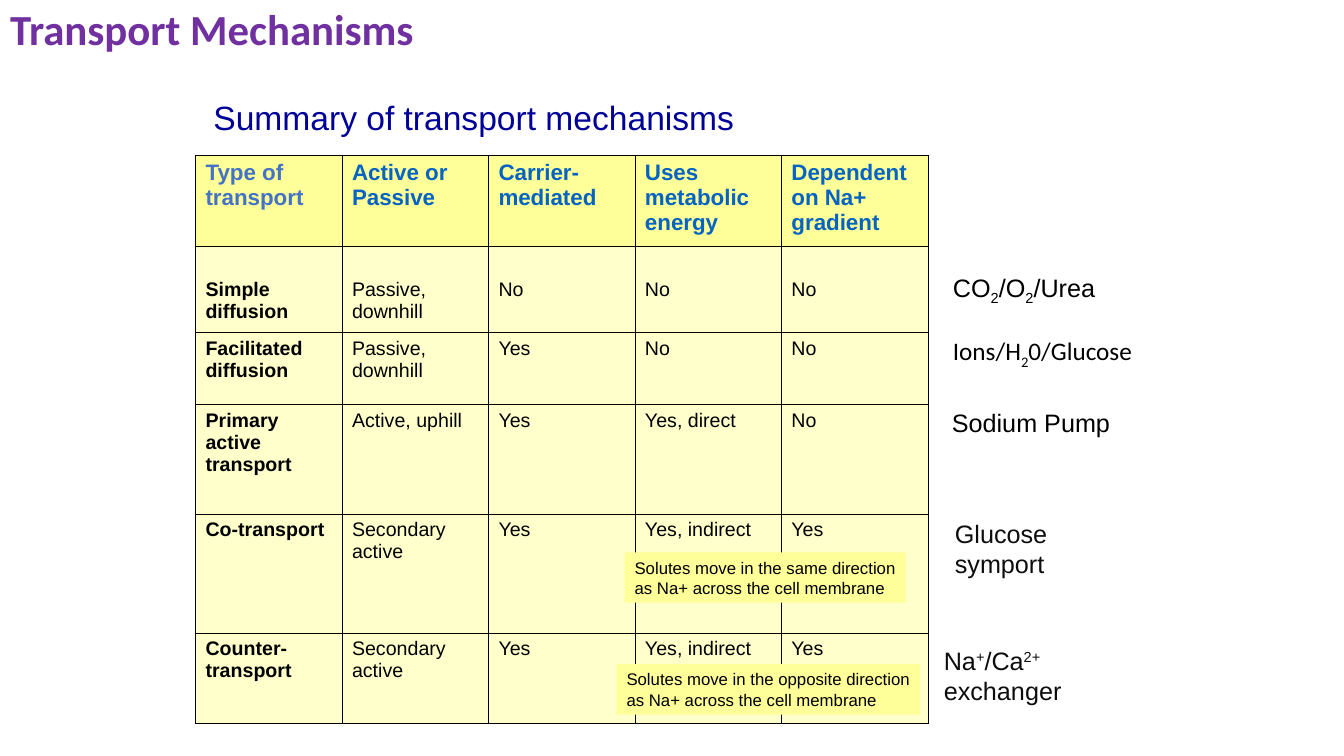
import pptx
import pptx.dml.color
import pptx.enum.shapes
import pptx.enum.text
import pptx.oxml.ns
import pptx.util
import lxml.etree

COLORS = {
    "title": "7030A0", "subtitle": "000099", "type": "4472C4", "header": "0563C1",
    "strong": "FFFF99", "pale": "FFFFCC", "text": "000000", "soft": "0D0D0D",
}


class Deck:
    """Builds the slide's elements in one style, on a scale of 100 px to the inch."""

    def __init__(self, width, height):
        self.presentation = pptx.Presentation()
        self.presentation.slide_width = self.px(width)
        self.presentation.slide_height = self.px(height)
        self.slide = self.presentation.slides.add_slide(self.presentation.slide_layouts[5])

    def px(self, length):
        return pptx.util.Emu(length * 9144)

    def box(self, *lengths):
        return [self.px(length) for length in lengths]

    def color(self, name):
        return pptx.dml.color.RGBColor.from_string(COLORS[name])

    def fill(self, target, name):
        target.fill.solid()
        target.fill.fore_color.rgb = self.color(name)

    def add_lines(self, frame, lines, size, color, bold=False, font="Arial"):
        for index, runs in enumerate(lines):
            paragraph = frame.add_paragraph() if index else frame.paragraphs[0]
            paragraph.alignment = pptx.enum.text.PP_ALIGN.LEFT
            for words, baseline in runs:
                run = paragraph.add_run()
                run.text = words
                run.font.name = font
                run.font.size = pptx.util.Pt(size)
                run.font.bold = bold
                run.font.color.rgb = self.color(color)
                if baseline:
                    run.font._element.set("baseline", str(baseline * 1000))

    def title(self, words, place):
        heading = self.slide.shapes.title
        heading.left, heading.top, heading.width, heading.height = self.box(*place)
        frame = heading.text_frame
        frame.auto_size = pptx.enum.text.MSO_AUTO_SIZE.NONE
        frame.vertical_anchor = pptx.enum.text.MSO_ANCHOR.MIDDLE
        frame.paragraphs[0].line_spacing = 0.9
        self.add_lines(frame, [[(words, 0)]], 30.6, "title", True, "Calibri")

    def label(self, runs, place, size=18, color="text", font="Arial", wrap=False):
        frame = self.slide.shapes.add_textbox(*self.box(*place)).text_frame
        frame.word_wrap = wrap
        self.add_lines(frame, [runs], size, color, font=font)

    def note(self, lines, place):
        rectangle = self.slide.shapes.add_shape(
            pptx.enum.shapes.MSO_SHAPE.RECTANGLE, *self.box(*place))
        rectangle.shadow.inherit = False
        rectangle.line.fill.background()
        self.fill(rectangle, "strong")
        frame = rectangle.text_frame
        frame.word_wrap = False
        frame.vertical_anchor = pptx.enum.text.MSO_ANCHOR.TOP
        self.add_lines(frame, [[(line, 0)] for line in lines], 12, "text")

    def border(self, cell):
        properties = cell._tc.get_or_add_tcPr()
        for side in ("lnL", "lnR", "lnT", "lnB"):
            line = lxml.etree.SubElement(properties, pptx.oxml.ns.qn(f"a:{side}"), w="5715")
            solid = lxml.etree.SubElement(line, pptx.oxml.ns.qn("a:solidFill"))
            lxml.etree.SubElement(solid, pptx.oxml.ns.qn("a:srgbClr"), val=COLORS["text"])

    def table(self, rows, heights, place):
        grid = self.slide.shapes.add_table(len(rows), len(rows[0]), *self.box(*place)).table
        grid.first_row = grid.horz_banding = False
        for column in grid.columns:
            column.width = self.px(place[2]) // len(rows[0])
        for row, (words, height) in enumerate(zip(rows, heights)):
            grid.rows[row].height = self.px(height)
            for column, entry in enumerate(words):
                cell = grid.cell(row, column)
                self.border(cell)
                self.fill(cell, "pale" if row else "strong")
                cell.margin_left = cell.margin_right = self.px(10)
                cell.margin_top = self.px(32 if row == 1 else 5)
                cell.margin_bottom = self.px(5)
                color = "text" if row else "header" if column else "type"
                self.add_lines(cell.text_frame, [[(entry, 0)]], 14 if row else 16, color,
                               row == 0 or column == 0)


def main():
    deck = Deck(1334, 750)
    deck.title("Transport Mechanisms", (0, 0, 879, 63))
    deck.label([("Summary of transport mechanisms", 0)], (202, 91, 677, 50),
               24, "subtitle", wrap=True)
    mechanisms = [
        ("Type of transport", "Active or Passive", "Carrier-mediated",
         "Uses metabolic energy", "Dependent on Na+ gradient"),
        ("Simple diffusion", "Passive, downhill", "No", "No", "No"),
        ("Facilitated diffusion", "Passive, downhill", "Yes", "No", "No"),
        ("Primary active transport", "Active, uphill", "Yes", "Yes, direct", "No"),
        ("Co-transport", "Secondary active", "Yes", "Yes, indirect", "Yes"),
        ("Counter-transport", "Secondary active", "Yes", "Yes, indirect", "Yes"),
    ]
    deck.table(mechanisms, (90, 86, 71, 109, 118, 90), (194, 154, 727, 564))

    for direction, place in (("same", (620, 548, 279, 50)), ("opposite", (612, 659, 301, 50))):
        deck.note([f"Solutes move in the {direction} direction",
                   "as Na+ across the cell membrane"], place)

    examples = [
        ([("CO", 0), ("2", -25), ("/O", 0), ("2", -25), ("/Urea", 0)],
         (936, 265, 161, 44), "text", "Arial"),
        ([("Ions/H", 0), ("2", -25), ("0/Glucose", 0)], (936, 328, 198, 44), "text", "Calibri"),
        ([("Sodium Pump", 0)], (935, 399, 177, 40), "text", "Arial"),
        ([("Glucose symport", 0)], (938, 509, 207, 40), "soft", "Arial"),
        ([("Na", 0), ("+", 30), ("/Ca", 0), ("2+ ", 30), ("exchanger", 0)],
         (927, 635, 236, 40), "soft", "Arial"),
    ]
    for runs, place, color, font in examples:
        deck.label(runs, place, color=color, font=font)
    deck.presentation.save("out.pptx")


if __name__ == "__main__":
    main()
